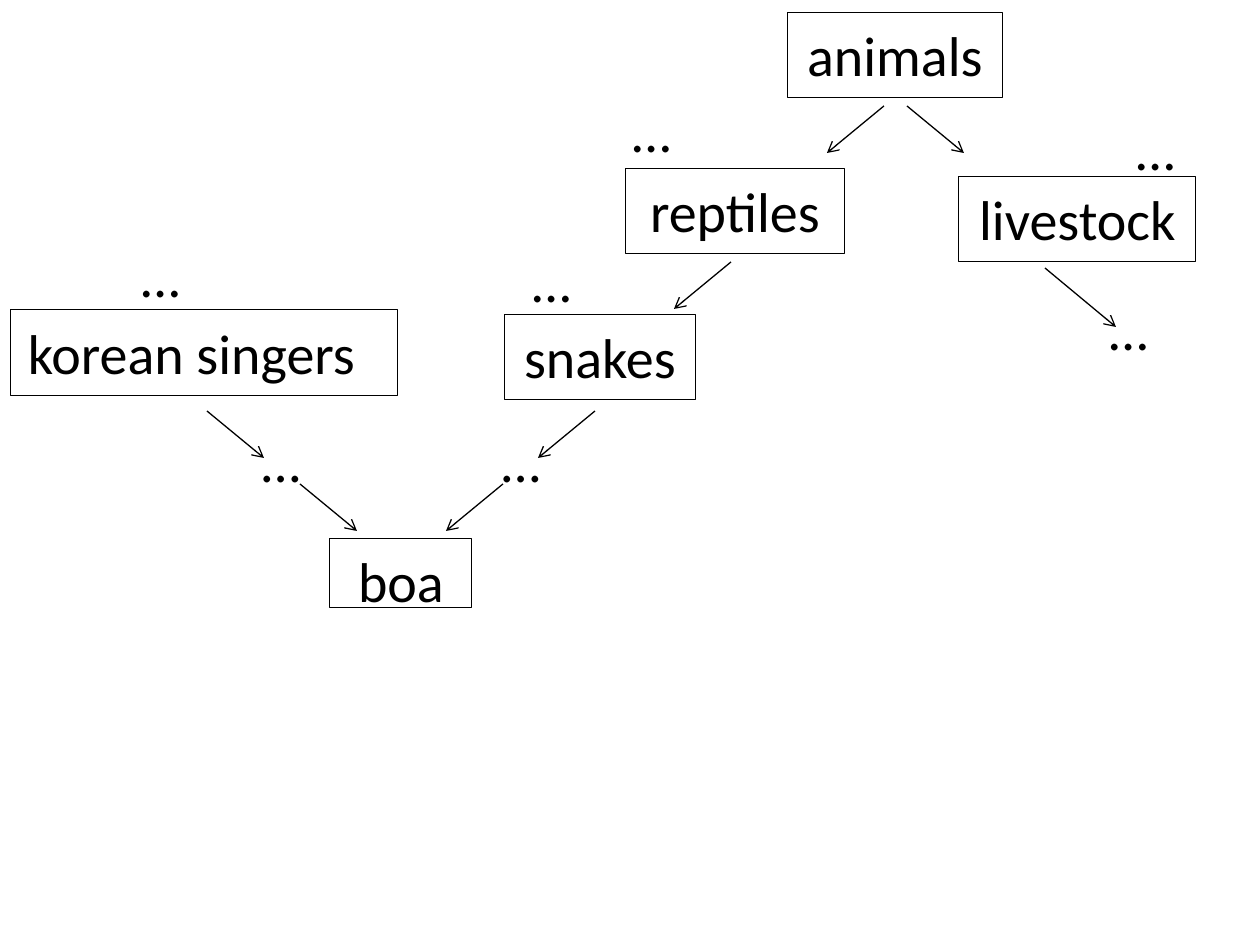
import pptx
import pptx.util
import pptx.dml.color
import pptx.enum.shapes
import pptx.enum.text
import pptx.oxml.ns
import lxml.etree

PX = 914400 // 126
BLACK = pptx.dml.color.RGBColor(0, 0, 0)
TRAILING = 25  # extra right inset for the off-centre label

deck = pptx.Presentation()
deck.slide_width = pptx.util.Inches(10)
deck.slide_height = pptx.util.Inches(7.5)
slide = deck.slides.add_slide(deck.slide_layouts[6])


def write_label(holder, text, extra_right=0):
    frame = holder.text_frame
    frame.word_wrap = True
    frame.vertical_anchor = pptx.enum.text.MSO_ANCHOR.TOP
    frame.margin_left = 13 * PX
    frame.margin_right = (13 + extra_right) * PX
    frame.margin_top = 9 * PX
    frame.margin_bottom = 6 * PX
    paragraph = frame.paragraphs[0]
    paragraph.text = text
    paragraph.alignment = pptx.enum.text.PP_ALIGN.CENTER
    paragraph.font.name = "Calibri"
    paragraph.font.size = pptx.util.Pt(32)
    paragraph.font.color.rgb = BLACK


# Named categories: text, left, top, width, height, extra right inset
categories = [
    ("animals", 787, 12, 216, 86, 0),
    ("reptiles", 625, 168, 220, 86, 0),
    ("livestock", 959, 176, 237, 86, 0),
    ("snakes", 504, 314, 192, 86, 0),
    ("korean singers", 10, 310, 388, 86, TRAILING),
    ("boa", 330, 538, 142, 70, 0),
]
for name, left, top, width, height, extra_right in categories:
    category = slide.shapes.add_shape(
        pptx.enum.shapes.MSO_SHAPE.RECTANGLE,
        left * PX, top * PX, width * PX, height * PX)
    category.shadow.inherit = False
    category.fill.background()
    category.line.color.rgb = BLACK
    category.line.width = pptx.util.Pt(0.5)
    write_label(category, name, extra_right)

# Ellipses for omitted categories: left, top, width, height
omitted = [
    (562, 88, 179, 70),
    (1066, 106, 179, 70),
    (1039, 286, 179, 70),
    (462, 238, 179, 70),
    (71, 233, 179, 70),
    (210, 418, 142, 57),
    (450, 418, 142, 57),
]
for left, top, width, height in omitted:
    ellipsis = slide.shapes.add_textbox(
        left * PX, top * PX, width * PX, height * PX)
    write_label(ellipsis, "…")

# Arrows from parent to child: start x, start y, run, drop
arrows = [
    (884, 106, -57, 47),
    (907, 106, 57, 47),
    (731, 262, -57, 47),
    (1045, 268, 71, 59),
    (595, 411, -57, 47),
    (503, 484, -57, 47),
    (207, 411, 57, 47),
    (300, 484, 57, 47),
]
for x, y, run, drop in arrows:
    arrow = slide.shapes.add_connector(
        pptx.enum.shapes.MSO_CONNECTOR.STRAIGHT,
        x * PX, y * PX, (x + run) * PX, (y + drop) * PX)
    arrow.line.color.rgb = BLACK
    arrow.line.width = pptx.util.Pt(0.75)
    outline = arrow.line._get_or_add_ln()
    lxml.etree.SubElement(outline, pptx.oxml.ns.qn("a:tailEnd"), type="arrow")
    lxml.etree.SubElement(arrow._element.spPr, pptx.oxml.ns.qn("a:effectLst"))

deck.save("out.pptx")
